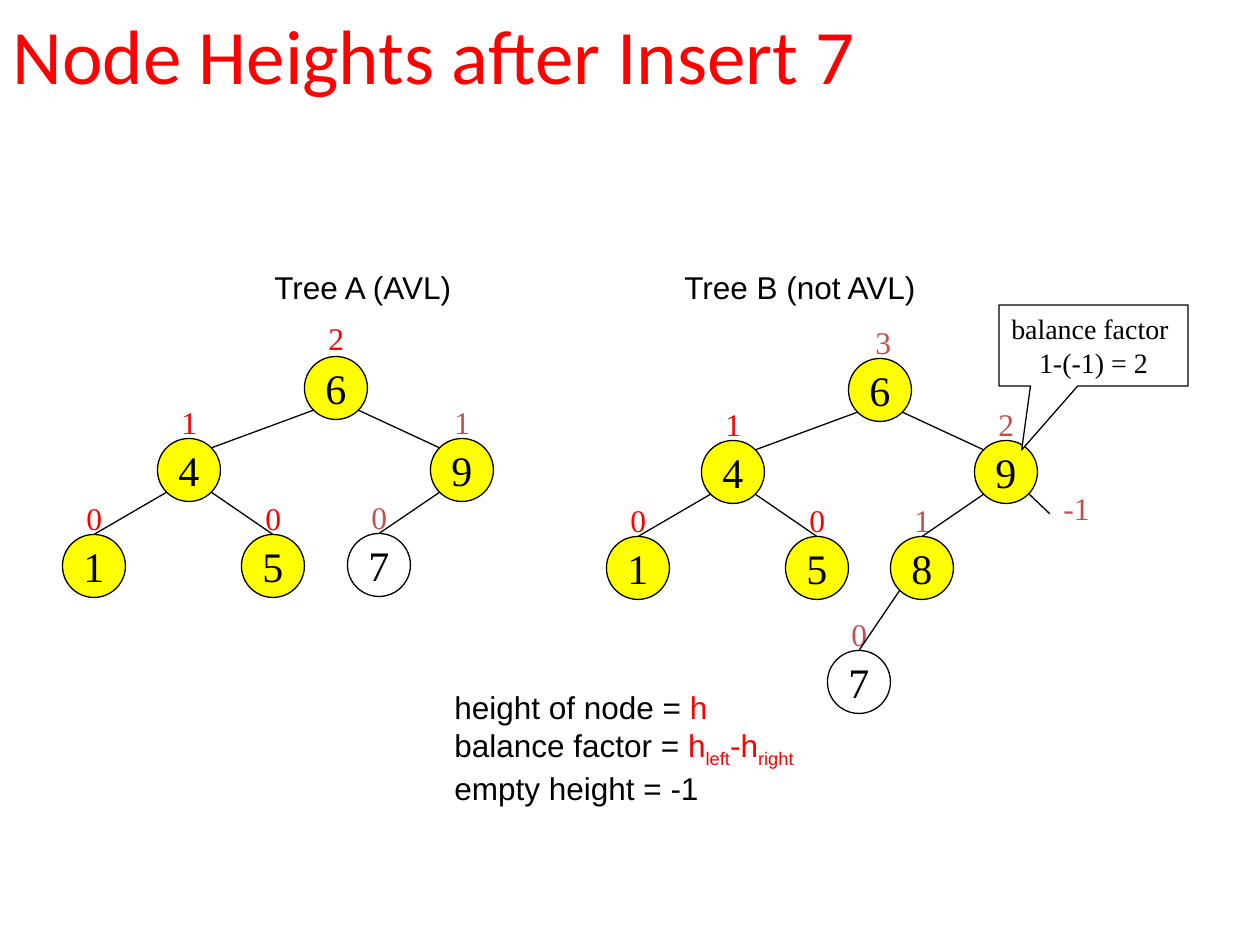
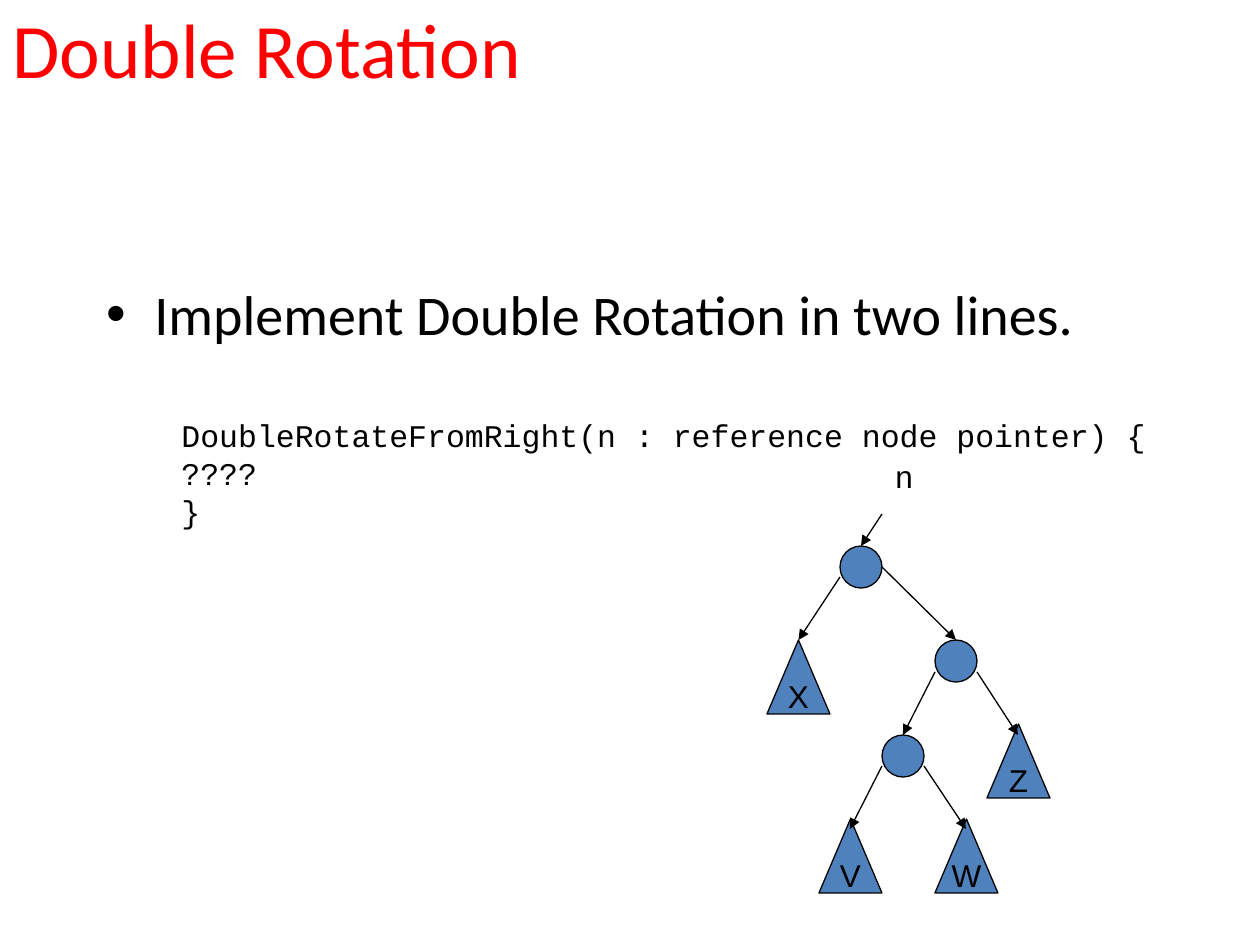
from dataclasses import dataclass
from typing import NamedTuple, Optional

import pptx
import pptx.dml.color
import pptx.enum.shapes
import pptx.enum.text
import pptx.oxml.ns
import pptx.util
from lxml import etree

MSO_SHAPE = pptx.enum.shapes.MSO_SHAPE
ALIGN = pptx.enum.text.PP_ALIGN
ANCHOR = pptx.enum.text.MSO_ANCHOR
AUTO_SIZE = pptx.enum.text.MSO_AUTO_SIZE
EMU_PER_PX = 914400 / 126


@dataclass(frozen=True)
class Theme:
    # Colours
    black: str = "000000"
    white: str = "FFFFFF"
    red: str = "FF0000"
    changed: str = "C0504D"
    node: str = "FFFF00"
    subtree: str = "4F81BD"
    # Fonts
    title_font: str = "Calibri"
    text_font: str = "Arial"
    tree_font: str = "Times New Roman"
    code_font: str = "Courier New"
    # Type sizes and line width, in points
    title_size: int = 44
    bullet_size: int = 32
    key_size: int = 24
    text_size: int = 18
    callout_size: int = 16
    line_width: float = 0.75


THEME = Theme()


class Box(NamedTuple):
    x: int
    y: int
    w: int
    h: int


class Point(NamedTuple):
    x: int
    y: int


class Run(NamedTuple):
    text: str
    color: str = THEME.black
    subscript: bool = False


class TreeNode(NamedTuple):
    """A node centred at (dx, dy) from the root; parent is an index."""
    key: str
    dx: int
    dy: int
    height: str
    parent: Optional[int] = None
    changed: bool = False
    inserted: bool = False
    label_dx: int = 0
    label_dy: int = 0


class Part(NamedTuple):
    """A circle or a lettered subtree of the rotation diagram."""
    x: int
    y: int
    letter: str = ""


class Arrow(NamedTuple):
    start: Point
    target: str
    overlap: int = 0


# Geometry of the trees
NODE, CORNER = 63, 22
LABEL_W, LABEL_H, LABEL_RISE = 40, 50, 73
LEVEL_1, LEVEL_2, LEVEL_3 = 82, 178, 292
CIRCLE, SUBTREE_W, SUBTREE_H = 42, 63, 74


def px(n: float) -> pptx.util.Emu:
    return pptx.util.Emu(round(n * EMU_PER_PX))


def rgb(color: str) -> pptx.dml.color.RGBColor:
    return pptx.dml.color.RGBColor.from_string(color)


def set_font(font, name: str, size: int, color: Optional[str] = None) -> None:
    font.name, font.size = name, pptx.util.Pt(size)
    if color:
        font.color.rgb = rgb(color)


def sub(parent, tag: str, **attrs: str):
    return etree.SubElement(parent, pptx.oxml.ns.qn(tag), **attrs)


def add_slide(prs, title: str, top: int, width: int):
    """Add a title-only slide with its red title at the upper left."""
    s = prs.slides.add_slide(prs.slide_layouts[5])
    sp = s.shapes.title
    sp.left, sp.top, sp.width, sp.height = map(px, (0, top, width, 157))
    tf = sp.text_frame
    tf.text = title
    tf.vertical_anchor = ANCHOR.MIDDLE
    p = tf.paragraphs[0]
    p.alignment = ALIGN.LEFT
    set_font(p.font, THEME.title_font, THEME.title_size, THEME.red)
    return s


def add_text(s, box: Box, lines: list[str], font: str = THEME.text_font,
             size: int = THEME.text_size, color: str = THEME.black,
             wrap: bool = False):
    tf = s.shapes.add_textbox(*map(px, box)).text_frame
    tf.word_wrap = wrap
    tf.auto_size = AUTO_SIZE.SHAPE_TO_FIT_TEXT
    tf.text = "\n".join(lines)
    for p in tf.paragraphs:
        set_font(p.font, font, size, color)
    return tf


def add_rich_text(s, box: Box, lines: list[list[Run]]) -> None:
    tf = add_text(s, box, [""] * len(lines))
    for p, runs in zip(tf.paragraphs, lines):
        for run in runs:
            r = p.add_run()
            r.text = run.text
            set_font(r.font, THEME.text_font, THEME.text_size, run.color)
            if run.subscript:
                r.font._element.set("baseline", "-25000")


def add_bullet(s, box: Box, text: str) -> None:
    tf = s.shapes.add_textbox(*map(px, box)).text_frame
    tf.word_wrap = True
    tf.text = text
    p = tf.paragraphs[0]
    pPr = p._p.get_or_add_pPr()
    pPr.set("marL", str(px(48)))
    pPr.set("indent", str(px(-48)))
    sub(pPr, "a:buFont", typeface=THEME.text_font)
    sub(pPr, "a:buChar", char="•")
    set_font(p.font, THEME.title_font, THEME.bullet_size, THEME.black)


def add_outlined(s, kind, box: Box, fill: Optional[str], lines: list[str],
                 font: str = THEME.text_font, size: int = THEME.text_size):
    """Add a black-outlined shape, with centred text if there is any."""
    sp = s.shapes.add_shape(kind, *map(px, box))
    sp.shadow.inherit = False
    if fill:
        sp.fill.solid()
        sp.fill.fore_color.rgb = rgb(fill)
    else:
        sp.fill.background()
    sp.line.color.rgb = rgb(THEME.black)
    sp.line.width = pptx.util.Pt(THEME.line_width)
    if lines:
        tf = sp.text_frame
        tf.word_wrap = False
        tf.vertical_anchor = ANCHOR.MIDDLE
        tf.text = "\n".join(lines)
        for p in tf.paragraphs:
            p.alignment = ALIGN.CENTER
            set_font(p.font, font, size, THEME.black)
    return sp


def add_line(s, start: Point, end: Point, arrow: bool = False):
    c = s.shapes.add_connector(pptx.enum.shapes.MSO_CONNECTOR.STRAIGHT,
                               *map(px, (*start, *end)))
    c.line.color.rgb = rgb(THEME.black)
    c.line.width = pptx.util.Pt(THEME.line_width)
    if arrow:
        sub(c.line._get_or_add_ln(), "a:tailEnd", type="triangle")
    sub(c._element.spPr, "a:effectLst")
    return c


def add_tree(s, root: Point, nodes: list[TreeNode]) -> None:
    """Draw heights, then nodes, then the edges to their parents."""
    centres = [Point(root.x + n.dx, root.y + n.dy) for n in nodes]
    for n, c in zip(nodes, centres):
        box = Box(c.x - LABEL_W // 2 + n.label_dx,
                  c.y - LABEL_RISE + n.label_dy, LABEL_W, LABEL_H)
        add_text(s, box, [n.height], THEME.tree_font,
                 color=THEME.changed if n.changed else THEME.red)
    half = NODE / 2
    circles = [add_outlined(s, MSO_SHAPE.OVAL,
                            Box(c.x - half, c.y - half, NODE, NODE),
                            None if n.inserted else THEME.node, [n.key],
                            THEME.tree_font, THEME.key_size)
               for n, c in zip(nodes, centres)]
    for n, c, circle in zip(nodes, centres, circles):
        if n.parent is None:
            continue
        above = centres[n.parent]
        side = CORNER if c.x > above.x else -CORNER
        start = Point(above.x + side, above.y + CORNER)
        # Edges from the root meet the child's shoulder, others its top
        edge = add_line(s, start, Point(c.x - side, c.y - CORNER))
        if n.parent != 0:
            edge.end_connect(circle, 0)


def build_heights(prs) -> None:
    s = add_slide(prs, "Node Heights after Insert 7", -25, 1134)

    # Both trees share their left side
    left = [TreeNode("4", -147, LEVEL_1, "1", 0),
            TreeNode("1", -242, LEVEL_2, "0", 1),
            TreeNode("5", -63, LEVEL_2, "0", 1)]
    add_tree(s, Point(336, 388), [
        TreeNode("6", 0, 0, "2", label_dy=-2), *left,
        TreeNode("9", 126, LEVEL_1, "1", 0, changed=True),
        TreeNode("7", 43, LEVEL_2 - 1, "0", 4, changed=True, inserted=True)])
    add_tree(s, Point(880, 390), [
        TreeNode("6", 0, 0, "3", changed=True, label_dx=3), *left,
        TreeNode("9", 126, LEVEL_1, "2", 0, changed=True),
        TreeNode("8", 42, LEVEL_2, "1", 4, changed=True),
        TreeNode("7", -21, LEVEL_3, "0", 5, changed=True, inserted=True)])

    # Empty right child of node 9, and its balance factor
    add_line(s, Point(1029, 494), Point(1050, 514))
    add_text(s, Box(1051, 483, 52, LABEL_H), ["-1"], THEME.tree_font,
             color=THEME.changed)
    callout = add_outlined(s, MSO_SHAPE.RECTANGULAR_CALLOUT,
                           Box(999, 305, 189, 81), THEME.white,
                           ["balance factor ", "1-(-1) = 2"],
                           THEME.tree_font, THEME.callout_size)
    callout.adjustments[0], callout.adjustments[1] = -0.38, 1.29

    # Captions and definitions
    add_text(s, Box(262, 262, 231, 50), ["Tree A (AVL)"], wrap=True)
    add_text(s, Box(672, 262, 315, 50), ["Tree B (not AVL)"], wrap=True)
    add_rich_text(s, Box(442, 682, 364, 131), [
        [Run("height of node = "), Run("h", THEME.red)],
        [Run("balance factor = "), Run("h", THEME.red),
         Run("left", THEME.red, True), Run("-h", THEME.red),
         Run("right", THEME.red, True)],
        [Run("empty height = -1")]])


def build_rotation(prs) -> None:
    s = add_slide(prs, "Double Rotation", -31, 976)
    add_bullet(s, Box(94, 273, 1071, 94),
               "Implement Double Rotation in two lines.")
    add_text(s, Box(169, 410, 989, 126),
             ["DoubleRotateFromRight(n : reference node pointer) {",
              "????", "}"], THEME.code_font)
    add_text(s, Box(883, 451, 43, LABEL_H), ["n"])

    # Circles and subtrees
    parts = {"top": Part(840, 546), "right": Part(935, 640),
             "inner": Part(882, 735), "X": Part(767, 640, "X"),
             "Z": Part(987, 724, "Z"), "V": Part(819, 819, "V"),
             "W": Part(935, 819, "W")}
    drawn = {}
    for name, part in parts.items():
        if part.letter:
            drawn[name] = add_outlined(
                s, MSO_SHAPE.ISOSCELES_TRIANGLE,
                Box(part.x, part.y, SUBTREE_W, SUBTREE_H),
                THEME.subtree, [part.letter])
        else:
            drawn[name] = add_outlined(
                s, MSO_SHAPE.OVAL, Box(part.x, part.y, CIRCLE, CIRCLE),
                THEME.subtree, [])

    # Pointers; some reach a little way into their subtree
    for arrow in (Arrow(Point(882, 514), "top"),
                  Arrow(Point(840, 577), "X"),
                  Arrow(Point(882, 567), "right"),
                  Arrow(Point(935, 672), "inner"),
                  Arrow(Point(977, 672), "Z", 11),
                  Arrow(Point(882, 766), "V", 10),
                  Arrow(Point(924, 766), "W", 10)):
        part = parts[arrow.target]
        width = SUBTREE_W if part.letter else CIRCLE
        c = add_line(s, arrow.start,
                     Point(part.x + width // 2, part.y + arrow.overlap), True)
        if not arrow.overlap:
            c.end_connect(drawn[arrow.target], 0)


def main() -> None:
    prs = pptx.Presentation()
    prs.slide_width, prs.slide_height = px(1260), px(945)
    build_heights(prs)
    build_rotation(prs)
    prs.save("out.pptx")


if __name__ == "__main__":
    main()
